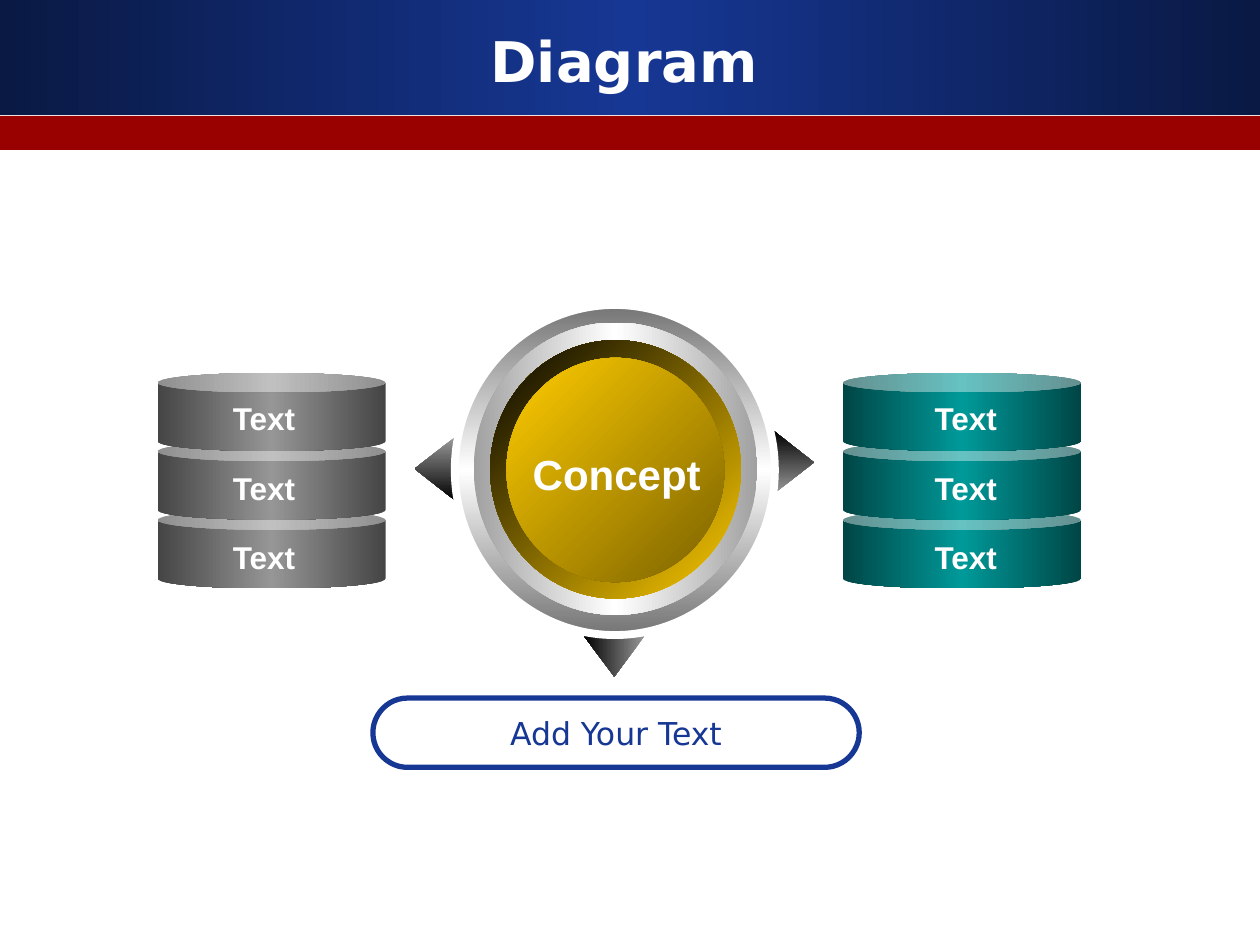
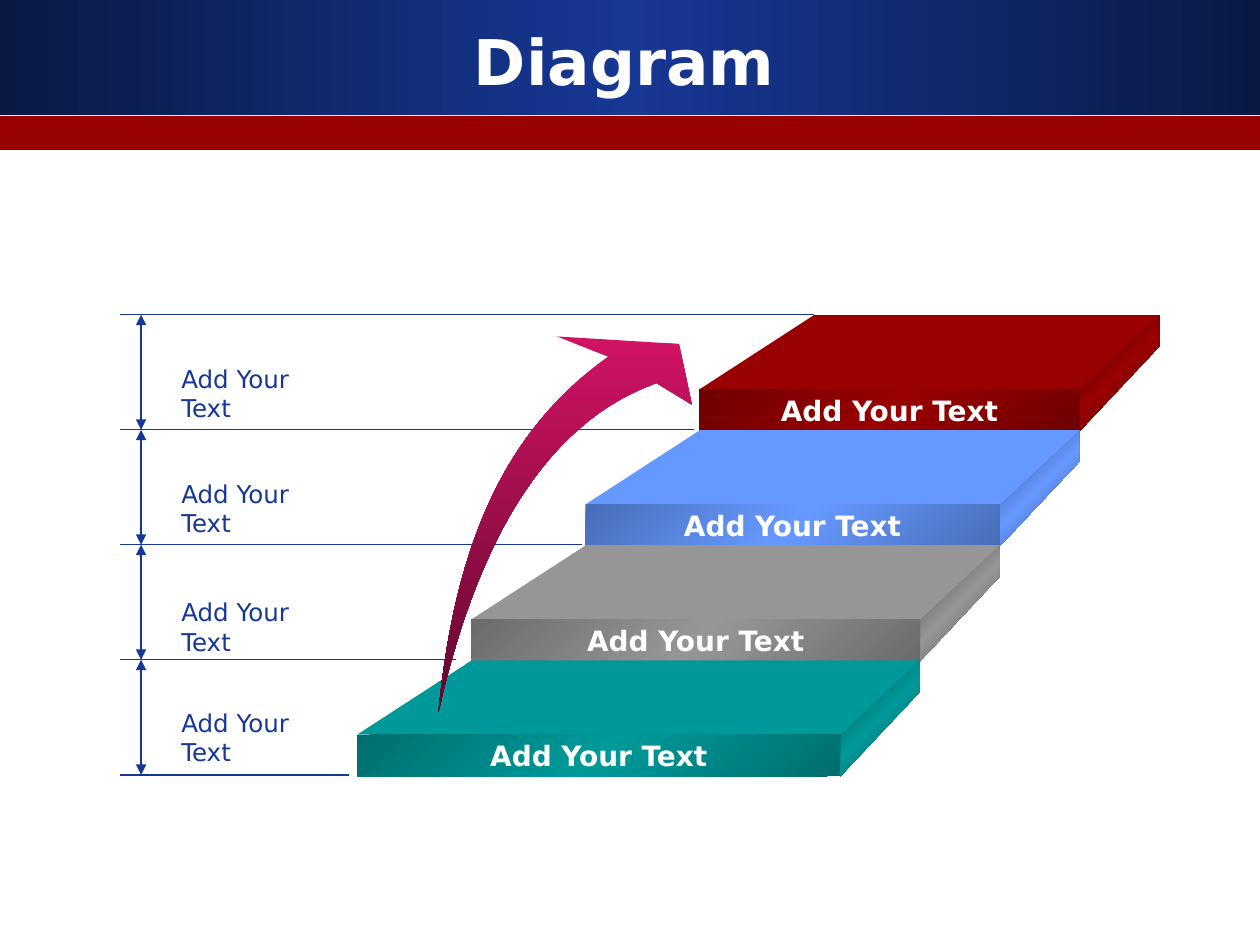
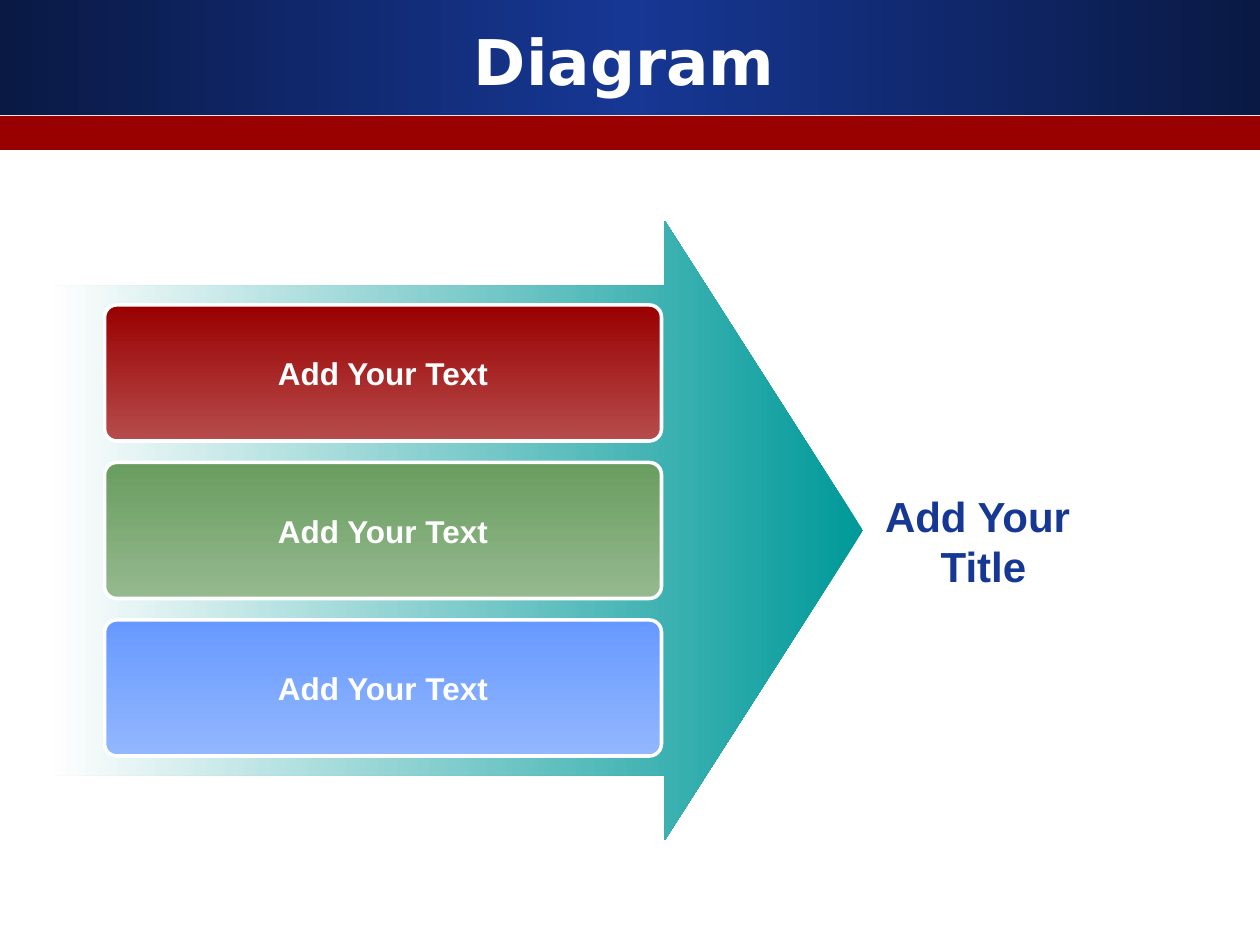
from dataclasses import dataclass
from typing import Any, NamedTuple, Optional, Union

from lxml import etree
from pptx import Presentation
from pptx import util as u
from pptx.dml.color import RGBColor
from pptx.enum import shapes, text
from pptx.oxml.ns import qn

KIND = shapes.MSO_SHAPE
MID = text.PP_ALIGN.CENTER
LEFT = text.PP_ALIGN.LEFT
COLS, ROWS = 100, 75
WIDE, HIGH = u.Inches(10), u.Inches(7.5)


@dataclass(frozen=True)
class Theme:
    navy: str = "163794"
    night: str = "0A1944"
    red: str = "990000"
    teal: str = "009999"
    gray: str = "969696"
    sky: str = "6699FF"
    gold: str = "FFCC00"
    white: str = "FFFFFF"
    black: str = "000000"
    sans: str = "DejaVu Sans"
    arial: str = "Arial"
    small: int = 14
    step: int = 16
    body: int = 18
    large: int = 24
    first: int = 32
    title: int = 36


T = Theme()


class Box(NamedTuple):
    col: float
    row: float
    wide: float
    high: float


class Grad(NamedTuple):
    stops: tuple[str, ...]
    angle: int


class Font(NamedTuple):
    size: int
    name: str
    color: str
    bold: bool = True
    align: Any = MID


Paint = Union[str, Grad, None]
Point = tuple[float, float]


@dataclass(frozen=True)
class Form:
    kind: Any
    box: Box
    fill: Paint = None
    edge: Optional[tuple[str, float]] = None
    adjust: tuple[float, ...] = ()
    turn: int = 0
    words: str = ""
    font: Optional[Font] = None
    wrap: bool = False


class Step(NamedTuple):
    color: str
    side: str
    front: str


def x(col: float) -> int:
    return round(WIDE * col / COLS)


def y(row: float) -> int:
    return round(HIGH * row / ROWS)


def place(box: Box) -> tuple[int, int, int, int]:
    return x(box.col), y(box.row), x(box.wide), y(box.high)


def band(edge: str, core: str, angle: int) -> Grad:
    return Grad((edge, core, edge), angle)


def apply(item: Any, values: dict[str, Any]) -> None:
    for key, value in values.items():
        setattr(item, key, value)


def paint(shape: Any, fill: Paint, edge: Optional[tuple[str, float]] = None) -> None:
    shape.shadow.inherit = False
    if fill is None:
        shape.fill.background()
    elif isinstance(fill, str):
        shape.fill.solid()
        shape.fill.fore_color.rgb = RGBColor.from_string(fill)
    else:
        shape.fill.gradient()
        shape.fill.gradient_angle = (360 - fill.angle) % 360
        grad = shape._element.spPr.find(qn("a:gradFill"))
        grad.set("rotWithShape", "0")
        stops = grad.find(qn("a:gsLst"))
        for old in list(stops):
            stops.remove(old)
        for spot, color in enumerate(fill.stops):
            share = 100000 * spot // (len(fill.stops) - 1)
            stop = etree.SubElement(stops, qn("a:gs"), pos=str(share))
            etree.SubElement(stop, qn("a:srgbClr"), val=color)
    if edge is None:
        shape.line.fill.background()
    else:
        shape.line.color.rgb = RGBColor.from_string(edge[0])
        shape.line.width = u.Pt(edge[1])


def write(shape: Any, words: str, font: Font, wrap: bool, anchor: Any) -> None:
    frame = shape.text_frame
    frame.text = words
    apply(frame, {
        "word_wrap": wrap, "vertical_anchor": anchor,
        "margin_left": u.Inches(0.1), "margin_right": u.Inches(0.1),
        "margin_top": u.Inches(0.05), "margin_bottom": u.Inches(0.05),
    })
    for para in frame.paragraphs:
        para.alignment = font.align
        for run in para.runs:
            apply(run.font, {"size": u.Pt(font.size), "name": font.name, "bold": font.bold})
            run.font.color.rgb = RGBColor.from_string(font.color)


def draw(slide: Any, form: Form) -> Any:
    shape = slide.shapes.add_shape(form.kind, *place(form.box))
    paint(shape, form.fill, form.edge)
    shape.rotation = form.turn
    for spot, value in enumerate(form.adjust):
        shape.adjustments[spot] = value
    if form.font:
        write(shape, form.words, form.font, form.wrap, text.MSO_ANCHOR.MIDDLE)
    return shape


def label(slide: Any, words: str, box: Box, font: Font, wrap: bool = False) -> None:
    shape = slide.shapes.add_textbox(*place(box))
    write(shape, words, font, wrap, text.MSO_ANCHOR.TOP)


def trace(slide: Any, points: list[Point], fill: Paint) -> None:
    spots = [(x(col), y(row)) for col, row in points]
    pen = slide.shapes.build_freeform(*spots[0])
    pen.add_line_segments(spots[1:], close=True)
    paint(pen.convert_to_shape(), fill)


def rule(slide: Any, start: Point, end: Point, heads: bool = False) -> None:
    line = slide.shapes.add_connector(
        shapes.MSO_CONNECTOR.STRAIGHT, x(start[0]), y(start[1]), x(end[0]), y(end[1]))
    line.line.color.rgb = RGBColor.from_string(T.navy)
    line.line.width = u.Pt(0.75)
    if heads:
        stroke = line.line._get_or_add_ln()
        for tag in ("a:headEnd", "a:tailEnd"):
            etree.SubElement(stroke, qn(tag), type="triangle")
    etree.SubElement(line._element.spPr, qn("a:effectLst"))


def curve(a: Point, b: Point, c: Point, d: Point, count: int = 28) -> list[Point]:
    def blend(t: float, axis: int) -> float:
        s = 1 - t
        return (s ** 3 * a[axis] + 3 * s * s * t * b[axis]
                + 3 * s * t * t * c[axis] + t ** 3 * d[axis])
    return [(blend(i / count, 0), blend(i / count, 1)) for i in range(count + 1)]


def begin(deck: Any, size: int) -> Any:
    slide = deck.slides.add_slide(deck.slide_layouts[5])
    title = slide.shapes.title
    spot = place(Box(3.3, 1.7, 92.5, 6.2))
    apply(title, dict(zip(("left", "top", "width", "height"), spot)))
    write(title, "Diagram", Font(size, T.sans, T.white), True, text.MSO_ANCHOR.MIDDLE)
    title.text_frame.auto_size = text.MSO_AUTO_SIZE.NONE
    return slide


def header(deck: Any, slide: Any) -> None:
    bands = (
        Form(KIND.RECTANGLE, Box(0, 0, COLS, 9.1), band(T.night, T.navy, 180)),
        Form(KIND.RECTANGLE, Box(0, 9.2, COLS, 2.7), T.red),
    )
    tree = deck.slide_master.shapes._spTree
    for spot, form in enumerate(bands):
        tree.insert(2 + spot, draw(slide, form)._element)


def concept(slide: Any) -> None:
    tips = ((Box(32, 35.6, 5, 3.2), 270, 90),
            (Box(60.5, 35.1, 5, 3.2), 90, 270),
            (Box(46.3, 50.4, 4.9, 3.3), 180, 180))
    for box, turn, angle in tips:
        draw(slide, Form(KIND.UP_ARROW, box, Grad(("9A9A9A", T.black), angle),
                         adjust=(0.52, 1), turn=turn))

    rings = (
        (Box(36.1, 24.2, 25.4, 26.2), band("757575", T.white, 90), (T.white, 4.5)),
        (Box(37.6, 25.6, 22.5, 23.2), band("A1A1A1", T.white, 180), None),
        (Box(38.9, 27, 19.9, 20.5), Grad((T.gold, T.black), 225), None),
        (Box(40.2, 28.4, 17.3, 17.8), Grad(("7B6200", T.gold), 225), None),
    )
    for box, fill, edge in rings:
        draw(slide, Form(KIND.OVAL, box, fill, edge))
    label(slide, "Concept", Box(41.3, 35.1, 15.3, 5), Font(T.large, T.arial, T.white))

    stacks = ((12.5, 18.1, 17.4, "454545", T.gray),
              (66.9, 18.9, 73.1, "004646", T.teal))
    for left, wide, inner, edge, core in stacks:
        for tier in (2, 1, 0):
            box = Box(left, 29.6 + 5.45 * tier, wide, 6.2)
            draw(slide, Form(KIND.CAN, box, band(edge, core, 180), adjust=(0.25,)))
        for tier in range(3):
            label(slide, "Text", Box(inner, 31.2 + 5.5 * tier, 7.1, 4),
                  Font(T.body, T.arial, T.white))

    draw(slide, Form(KIND.ROUNDED_RECTANGLE, Box(29.6, 55.4, 38.6, 5.5), T.white,
                     (T.navy, 3), (0.5,), words="Add Your Text",
                     font=Font(T.body, T.sans, T.navy, False)))


def stairs(slide: Any) -> None:
    rise = 9.13
    levels = [61.5 - rise * i for i in range(5)]
    for row, end in zip(levels, (27.7, 36.2, 46.2, 55.1, 64.6)):
        rule(slide, (end, row), (9.5, row))
    for low, high in zip(levels, levels[1:]):
        rule(slide, (11.2, high), (11.2, low), True)
    for row in (28.4, 37.5, 46.9, 55.7):
        label(slide, "Add Your Text", Box(13.4, row, 14.8, 3.4),
              Font(T.small, T.sans, T.navy, False, LEFT), True)

    steps = (Step(T.teal, "004646", "006E6E"), Step(T.gray, "454545", "6C6C6C"),
             Step(T.sky, "2F4675", "496EB8"), Step(T.red, "460000", "6E0000"))
    for i, step in reversed(list(enumerate(steps))):
        left, right = 28.35 + 9.05 * i, 66.7 + 6.33 * i
        front = 58.3 - rise * i
        back, far = front - 5.9, right + 6.3
        trace(slide, [(far, back + 2.5), (right, front + 3.3), (right, front), (far, back)],
              band(step.side, step.color, 225))
        trace(slide, [(right, front), (left, front), (left + 9.1, back), (far, back)],
              step.color)
        draw(slide, Form(KIND.RECTANGLE, Box(left, front, right - left, 3.3),
                         band(step.front, step.color, 225), words="Add Your Text",
                         font=Font(T.step, T.sans, T.white)))

    tail = (34.8, 56.5)
    outer = curve(tail, (36.1, 43.4), (39.9, 34.3), (48.3, 28.3))
    inner = curve((52.1, 30.4), (42.9, 33.7), (37.7, 43.7), tail)
    head = [(44.2, 26.7), (53.9, 27.3), (54.9, 32.1)]
    trace(slide, outer + head + inner[:-1], Grad(("D11364", "60082E"), 90))


def arrow(slide: Any) -> None:
    draw(slide, Form(KIND.RIGHT_ARROW, Box(4.2, 17.5, 64.3, 49.2),
                     Grad((T.teal, "FEFEFE"), 180), adjust=(0.79, 0.32)))
    cards = ((T.red, "B74C4C"), ("699D5F", "95B98E"), (T.sky, "93B7FE"))
    for i, stops in enumerate(cards):
        draw(slide, Form(KIND.ROUNDED_RECTANGLE, Box(8.3, 24.2 + 12.5 * i, 44.2, 10.8),
                         Grad(stops, 90), (T.white, 2), (0.09,), words="Add Your Text",
                         font=Font(T.body, T.arial, T.white)))
    draw(slide, Form(KIND.ROUNDED_RECTANGLE, Box(64.3, 35.8, 27.5, 14.2), adjust=(0.09,),
                     words="Add Your \nTitle", font=Font(T.large, T.arial, T.navy),
                     wrap=True))


def main() -> None:
    deck = Presentation()
    apply(deck, {"slide_width": WIDE, "slide_height": HIGH})
    pages = ((concept, T.first), (stairs, T.title), (arrow, T.title))
    for i, (build, size) in enumerate(pages):
        slide = begin(deck, size)
        if i == 0:
            header(deck, slide)
        build(slide)
    deck.save("out.pptx")


if __name__ == "__main__":
    main()
